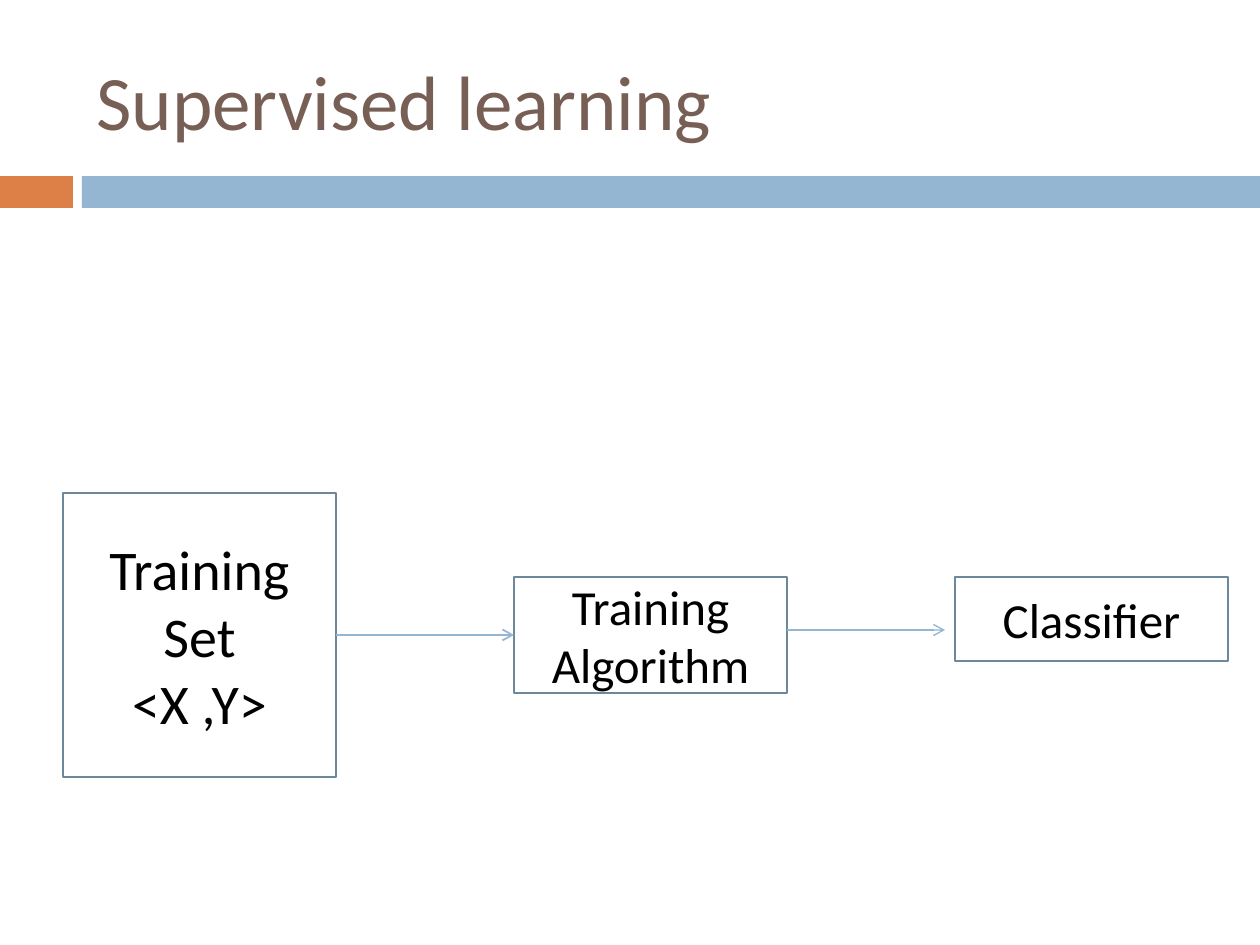
from dataclasses import dataclass

from lxml.etree import SubElement
from pptx import Presentation
from pptx.dml.color import RGBColor
from pptx.enum.shapes import MSO_CONNECTOR, MSO_SHAPE
from pptx.enum.text import MSO_ANCHOR as Anchor, PP_ALIGN as Align
from pptx.oxml.ns import qn
from pptx.slide import Slide
from pptx.text.text import TextFrame
from pptx.util import Emu, Pt

PX_PER_INCH = 126
COLORS = {
    "orange": "DD8047",
    "blue": "94B6D2",
    "outline": "6D879B",
    "title": "775F55",
    "text": "000000",
}


@dataclass
class Box:
    left: int
    top: int
    width: int
    height: int


@dataclass
class Band:
    box: Box
    color: str


@dataclass
class Step:
    box: Box
    lines: list[str]
    size: int


@dataclass
class Arrow:
    start: int
    end: int
    y: int
    weight: float


def px(value: int) -> Emu:
    return Emu(round(value * 914400 / PX_PER_INCH))


def place(box: Box) -> tuple[Emu, ...]:
    return px(box.left), px(box.top), px(box.width), px(box.height)


def rgb(name: str) -> RGBColor:
    return RGBColor.from_string(COLORS[name])


def write_text(frame: TextFrame, lines: list[str], size: int, color: str, align: Align) -> None:
    frame.word_wrap = True
    frame.vertical_anchor = Anchor.MIDDLE
    font_format = {"name": "Calibri", "size": Pt(size)}
    for index, line in enumerate(lines):
        paragraph = frame.paragraphs[0] if index == 0 else frame.add_paragraph()
        paragraph.alignment = align
        run = paragraph.add_run()
        run.text = line
        for attribute, value in font_format.items():
            setattr(run.font, attribute, value)
        run.font.color.rgb = rgb(color)


def draw_band(slide: Slide, band: Band) -> None:
    shape = slide.shapes.add_shape(MSO_SHAPE.RECTANGLE, *place(band.box))
    shape.shadow.inherit = False
    shape.fill.solid()
    shape.fill.fore_color.rgb = rgb(band.color)
    shape.line.fill.background()


def draw_step(slide: Slide, step: Step) -> None:
    shape = slide.shapes.add_shape(MSO_SHAPE.RECTANGLE, *place(step.box))
    shape.shadow.inherit = False
    shape.fill.background()
    shape.line.color.rgb = rgb("outline")
    shape.line.width = Pt(1.5)
    write_text(shape.text_frame, step.lines, step.size, "text", Align.CENTER)


def draw_arrow(slide: Slide, arrow: Arrow) -> None:
    connector = slide.shapes.add_connector(
        MSO_CONNECTOR.STRAIGHT, px(arrow.start), px(arrow.y), px(arrow.end), px(arrow.y)
    )
    connector.line.color.rgb = rgb("blue")
    connector.line.width = Pt(arrow.weight)
    properties = connector._element.spPr
    SubElement(properties.find(qn("a:ln")), qn("a:tailEnd"), type="arrow")
    SubElement(properties, qn("a:effectLst"))


BANDS = [
    Band(Box(0, 176, 73, 32), "orange"),
    Band(Box(82, 176, 1178, 32), "blue"),
]
STEPS = [
    Step(Box(63, 493, 273, 284), ["Training Set", "<X ,Y>"], 32),
    Step(Box(514, 577, 273, 116), ["Training Algorithm"], 28),
    Step(Box(955, 577, 273, 84), ["Classifier"], 28),
]
ARROWS = [Arrow(336, 514, 635, 1), Arrow(787, 945, 630, 0.79)]


def main() -> None:
    presentation = Presentation()
    presentation.slide_width, presentation.slide_height = px(1260), px(945)
    slide = presentation.slides.add_slide(presentation.slide_layouts[6])

    # Header bands and title
    for band in BANDS:
        draw_band(slide, band)
    title = slide.shapes.add_textbox(*place(Box(84, 32, 1124, 136)))
    write_text(title.text_frame, ["Supervised learning"], 44, "title", Align.LEFT)

    # Training flow
    for step in STEPS:
        draw_step(slide, step)
    for arrow in ARROWS:
        draw_arrow(slide, arrow)

    presentation.save("out.pptx")


if __name__ == "__main__":
    main()
